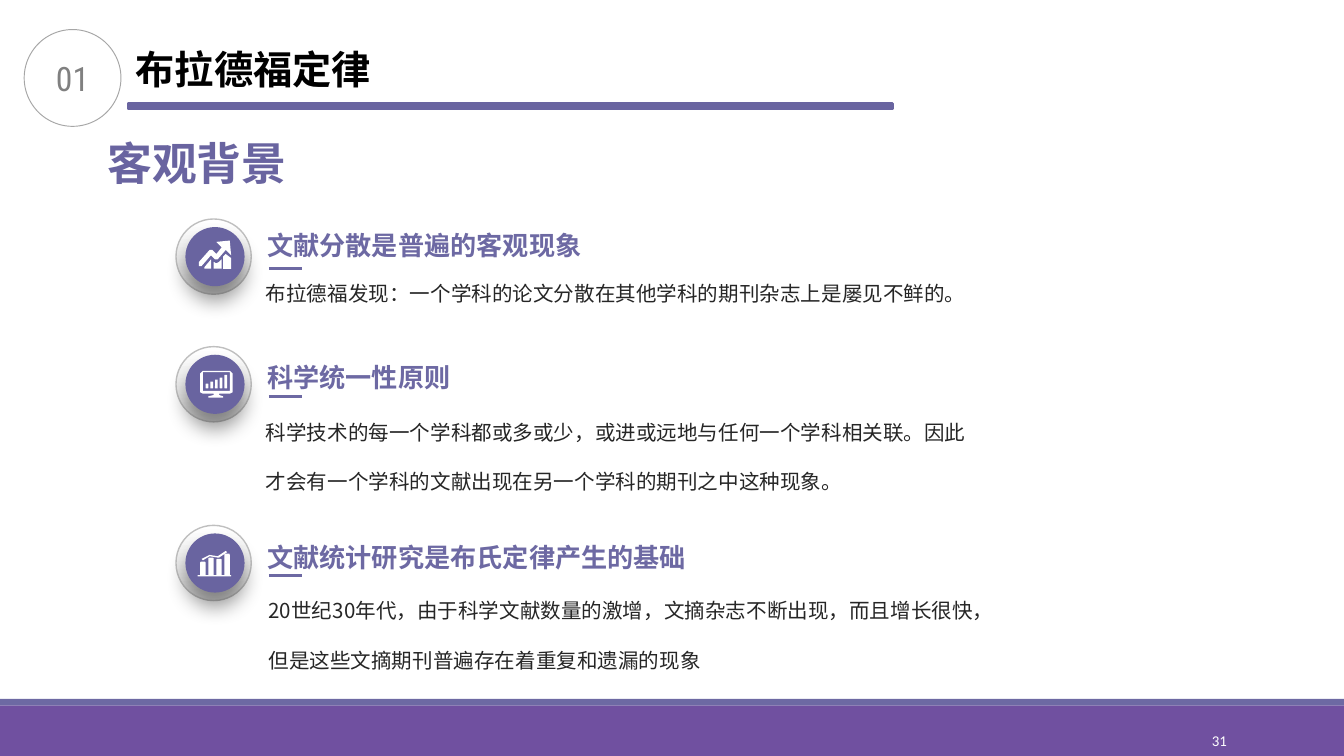
from lxml import etree
from pptx import Presentation
from pptx.dml.color import RGBColor
from pptx.enum import shapes, text
from pptx.oxml import ns
from pptx.util import Cm, Pt

CJK = "Noto Sans CJK SC"
PURPLE, LILAC, WHITE = "6964A0", "6D69A3", "FFFFFF"
UNIT = 0.01

growth_icon = {
    "outlines": [
        [[(35, 28), (37, 26), (41, 29), (41, 37), (35, 37)]],
        [[(26, 27), (19, 35), (17, 35), (17, 32), (25, 23), (27, 23), (30, 26),
          (34, 21), (30, 17), (40, 16), (41, 27), (37, 23), (31, 30), (29, 30)]],
        [[(32, 32), (30, 33), (28, 32), (28, 37), (34, 37), (34, 30)]],
        [[(21, 37), (26, 37), (26, 30), (21, 36)]],
    ],
    "bars": [],
}
monitor_icon = {
    "outlines": [[
        [(40, 18), (20, 18), (18, 20), (18, 34), (20, 35), (28, 35), (28, 36), (24, 37),
         (24, 38), (35, 38), (35, 37), (32, 36), (32, 35), (40, 35), (42, 34), (42, 20)],
        [(40, 33), (20, 33), (20, 19), (40, 19)],
    ]],
    "bars": [(22 + 3.5 * i, top, 2, 31 - top) for i, top in enumerate((27.5, 26, 24.5, 23, 21))],
}
statistics_icon = {
    "outlines": [[[(19, 25), (25, 22), (31, 23), (37, 19), (38, 20),
                   (32, 23.5), (31, 24), (25, 23), (20, 26)]]],
    "bars": [(18 + 6 * i, top, 4, 37.5 - top) for i, top in enumerate((27, 24, 25, 21))]
            + [(16, 37, 25, 1)],
}

sections = [
    {"top": 1.63, "heading": "文献分散是普遍的客观现象", "heading_top": 1.66, "icon": growth_icon,
     "body": "布拉德福发现：一个学科的论文分散在其他学科的期刊杂志上是屡见不鲜的。",
     "body_box": (1.88, 1.95, 5.56, 0.35), "spacing": 1.5},
    {"top": 2.58, "heading": "科学统一性原则", "heading_top": 2.64, "icon": monitor_icon,
     "body": "科学技术的每一个学科都或多或少，或进或远地与任何一个学科相关联。"
             "因此才会有一个学科的文献出现在另一个学科的期刊之中这种现象。",
     "body_box": (1.88, 2.89, 5.56, 0.79), "spacing": 2},
    {"top": 3.91, "heading": "文献统计研究是布氏定律产生的基础", "heading_top": 3.98,
     "icon": statistics_icon,
     "body": "20世纪30年代，由于科学文献数量的激增，文摘杂志不断出现，而且增长很快，"
             "但是这些文摘期刊普遍存在着重复和遗漏的现象",
     "body_box": (1.9, 4.22, 5.56, 0.79), "spacing": 2},
]


def inch(value):
    return Cm(value * 2.54)


def rgb(value):
    return RGBColor.from_string(value)


def paint(shape, fill=None, line=None, weight=1):
    shape.shadow.inherit = False
    if fill:
        shape.fill.solid()
        shape.fill.fore_color.rgb = rgb(fill)
    else:
        shape.fill.background()
    if line:
        shape.line.color.rgb = rgb(line)
        shape.line.width = Pt(weight)
    else:
        shape.line.fill.background()
    return shape


def add_preset(kind, box, **colours):
    return paint(slide.shapes.add_shape(kind, *map(inch, box)), **colours)


def write(shape, words, size, colour, font=CJK, bold=False, wrap=True, spacing=None,
          align=text.PP_ALIGN.LEFT, anchor=text.MSO_ANCHOR.TOP, inset=(0.1, 0.05)):
    frame = shape.text_frame
    frame.text = words
    frame.word_wrap = wrap
    frame.vertical_anchor = anchor
    frame.margin_left = frame.margin_right = inch(inset[0])
    frame.margin_top = frame.margin_bottom = inch(inset[1])
    paragraph = frame.paragraphs[0]
    paragraph.alignment = align
    if spacing:
        paragraph.line_spacing = spacing
    run = paragraph.runs[0]
    run.font.size, run.font.bold, run.font.name = Pt(size), bold, font
    run.font.color.rgb = rgb(colour)
    east_asian = etree.SubElement(run.font._element, ns.qn("a:ea"))
    east_asian.set("typeface", font)


def add_words(box, *args, **options):
    write(slide.shapes.add_textbox(*map(inch, box)), *args, **options)


def add_shadow(shape):
    effects = shape._element.spPr.find(ns.qn("a:effectLst"))
    shadow = etree.SubElement(effects, ns.qn("a:outerShdw"), blurRad=str(Pt(11)),
                              dist=str(Pt(8)), dir="5400000", algn="t", rotWithShape="0")
    colour = etree.SubElement(shadow, ns.qn("a:srgbClr"), val="000000")
    etree.SubElement(colour, ns.qn("a:alpha"), val="40000")


def add_badge(top):
    rim = add_preset(shapes.MSO_SHAPE.OVAL, (1.31, top, 0.56, 0.56), line="BFBFBF", weight=0.75)
    rim.fill.gradient()
    rim.fill.gradient_angle = 270
    for stop, colour in zip(rim.fill.gradient_stops, (WHITE, "D9D9D9")):
        stop.color.rgb = rgb(colour)
    add_shadow(add_preset(shapes.MSO_SHAPE.OVAL, (1.38, top + 0.06, 0.44, 0.44), fill=PURPLE))


def add_icon(icon, left, top):
    for contours in icon["outlines"]:
        builder = slide.shapes.build_freeform(*contours[0][0], scale=inch(UNIT))
        for index, points in enumerate(contours):
            if index:
                builder.move_to(*points[0])
            builder.add_line_segments(points[1:], close=True)
        paint(builder.convert_to_shape(inch(left), inch(top)), fill=WHITE)
    for x, y, width, height in icon["bars"]:
        add_preset(shapes.MSO_SHAPE.ROUNDED_RECTANGLE,
                   (left + x * UNIT, top + y * UNIT, width * UNIT, height * UNIT), fill=WHITE)


def add_underline(y):
    line = slide.shapes.add_connector(shapes.MSO_CONNECTOR.STRAIGHT,
                                      inch(2), inch(y), inch(2.25), inch(y))
    line.line.color.rgb = rgb(LILAC)
    line.line.width = Pt(1.5)
    etree.SubElement(line._element.spPr, ns.qn("a:effectLst"))


deck = Presentation()
deck.slide_width, deck.slide_height = Cm(25.4), Cm(14.29)
slide = deck.slides.add_slide(deck.slide_layouts[6])
tight = (0.07, 0.04)

add_preset(shapes.MSO_SHAPE.RECTANGLE, (0, 5.25, 10, 0.38), fill="7050A0")
add_preset(shapes.MSO_SHAPE.RECTANGLE, (0, 5.2, 10, 0.05), fill=LILAC)
add_words((8.12, 5.36, 1.08, 0.3), "31", 8, WHITE, font="Calibri", inset=tight,
          align=text.PP_ALIGN.RIGHT, anchor=text.MSO_ANCHOR.MIDDLE)
add_preset(shapes.MSO_SHAPE.RECTANGLE, (0.95, 0.77, 5.69, 0.04),
           fill=PURPLE, line=PURPLE, weight=1.25)
chapter = add_preset(shapes.MSO_SHAPE.OVAL, (0.18, 0.22, 0.72, 0.72), line="A6A6A6", weight=0.5)
write(chapter, "01", 18, "808080", font="Roboto Condensed", inset=tight,
      align=text.PP_ALIGN.CENTER, anchor=text.MSO_ANCHOR.MIDDLE)
add_words((0.94, 0.3, 1.93, 0.43), "布拉德福定律", 21, "000000", bold=True, wrap=False, inset=tight)
add_words((0.7, 0.76, 1.55, 0.64), "客观背景", 24, PURPLE, bold=True, wrap=False, spacing=1.5)

for section in sections:
    add_badge(section["top"])
    add_words(section["body_box"], section["body"], 11, "262626", spacing=section["spacing"])
    heading_width = 0.42 + 0.21 * len(section["heading"])
    add_words((1.89, section["heading_top"], heading_width, 0.34),
              section["heading"], 14, LILAC, bold=True)
    add_underline(section["top"] + 0.37)
    add_icon(section["icon"], 1.31, section["top"])

deck.save("out.pptx")
